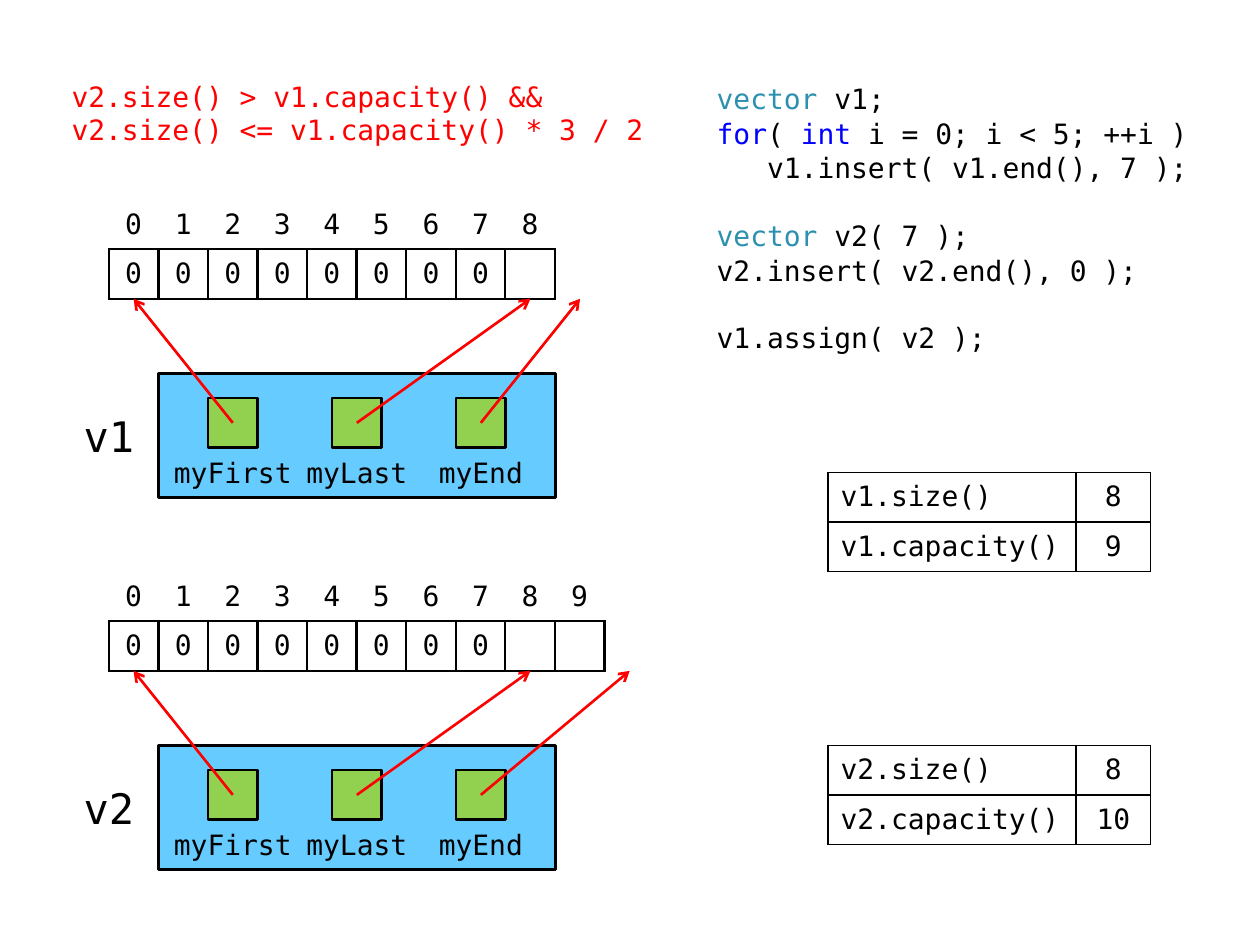
from lxml import etree
from pptx import Presentation
from pptx.dml.color import RGBColor
from pptx.enum.shapes import MSO_CONNECTOR as Connector, MSO_SHAPE as Shape
from pptx.enum.text import MSO_ANCHOR as Anchor, MSO_AUTO_SIZE as AutoSize, PP_ALIGN as Align
from pptx.oxml.ns import qn
from pptx.util import Inches, Pt

FONT = "DejaVu Sans Mono"
BLACK = RGBColor(0x00, 0x00, 0x00)
RED = RGBColor(0xFF, 0x00, 0x00)
KEYWORD_BLUE = RGBColor(0x00, 0x00, 0xFF)
TYPE_TEAL = RGBColor(0x2B, 0x91, 0xAF)
OBJECT_BLUE = RGBColor(0x66, 0xCC, 0xFF)
POINTER_GREEN = RGBColor(0x92, 0xD0, 0x50)

# Each entry: blank line above it, then its coloured runs
CODE = [
    (False, [("vector ", TYPE_TEAL), ("v1;", BLACK)]),
    (False, [("for", KEYWORD_BLUE), ("( ", BLACK), ("int", KEYWORD_BLUE),
             (" i = 0; i < 5; ++i )", BLACK)]),
    (False, [("   v1.insert( v1.end(), 7 );", BLACK)]),
    (True, [("vector ", TYPE_TEAL), ("v2( 7 );", BLACK)]),
    (False, [("v2.insert( v2.end(), 0 );", BLACK)]),
    (True, [("v1.assign( v2 );", BLACK)]),
]
CONDITION = ["v2.size() > v1.capacity() &&", "v2.size() <= v1.capacity() * 3 / 2"]


# The layout follows a one-centimetre grid from the top left margin
def grid(count):
    return Inches(count / 2.54)


def grid_x(column):
    return Inches(0.47) + grid(column)


def grid_y(row):
    return Inches(0.6) + grid(row)


def grid_box(column, row, width, height):
    return grid_x(column), grid_y(row), grid(width), grid(height)


def add_run(paragraph, text, color=BLACK, size=16):
    run = paragraph.add_run()
    run.text = text
    run.font.name = FONT
    run.font.size = Pt(size)
    run.font.color.rgb = color


def add_code(slide):
    body = slide.placeholders[1]
    body.left, body.top, body.width, body.height = grid_box(13, 0, 10, 6)
    frame = body.text_frame
    frame.auto_size = AutoSize.NONE
    frame.vertical_anchor = Anchor.TOP
    for index, (gap, runs) in enumerate(CODE):
        paragraph = frame.add_paragraph() if index else frame.paragraphs[0]
        properties = paragraph._p.get_or_add_pPr()
        properties.set("marL", "0")
        properties.set("indent", "0")
        etree.SubElement(properties, qn("a:buNone"))
        paragraph.space_before = Pt(19 if gap else 0)
        paragraph.space_after = Pt(0.5)
        for text, color in runs:
            add_run(paragraph, text, color)


def add_text(slide, box, lines, color=BLACK, size=16, align=Align.CENTER):
    frame = slide.shapes.add_textbox(*box).text_frame
    frame.word_wrap = True
    frame.vertical_anchor = Anchor.MIDDLE
    for index, line in enumerate(lines):
        paragraph = frame.add_paragraph() if index else frame.paragraphs[0]
        paragraph.alignment = align
        add_run(paragraph, line, color, size)


def add_block(slide, kind, box, fill):
    shape = slide.shapes.add_shape(kind, *box)
    shape.shadow.inherit = False
    shape.fill.solid()
    shape.fill.fore_color.rgb = fill
    shape.line.color.rgb = BLACK
    shape.line.width = Pt(1.5)


def add_name(slide, box, text):
    shape = slide.shapes.add_shape(Shape.FLOWCHART_PROCESS, *box)
    shape.shadow.inherit = False
    shape.fill.background()
    shape.line.fill.background()
    frame = shape.text_frame
    frame.word_wrap = False
    frame.vertical_anchor = Anchor.MIDDLE
    frame.paragraphs[0].alignment = Align.CENTER
    add_run(frame.paragraphs[0], text)


def add_arrow(slide, start, end):
    arrow = slide.shapes.add_connector(
        Connector.STRAIGHT, grid_x(start[0]), grid_y(start[1]), grid_x(end[0]), grid_y(end[1]))
    arrow.line.color.rgb = RED
    arrow.line.width = Pt(1.5)
    etree.SubElement(arrow.line._get_or_add_ln(), qn("a:tailEnd"), type="arrow")
    etree.SubElement(arrow._element.spPr, qn("a:effectLst"))


def set_borders(cell, widths):
    """Draw the left, right, top and bottom borders; a width of 0 hides one."""
    properties = cell._tc.get_or_add_tcPr()
    for side, width in zip("LRTB", widths):
        line = etree.SubElement(properties, qn(f"a:ln{side}"), w=str(Pt(width)))
        if width:
            fill = etree.SubElement(line, qn("a:solidFill"))
            etree.SubElement(fill, qn("a:srgbClr"), val=str(BLACK))
        else:
            etree.SubElement(line, qn("a:noFill"))


def add_grid_table(slide, column, row, widths, values, borders, margin, first_align):
    """Add a table of one-unit rows, with one set of borders per row."""
    box = grid_box(column, row, sum(widths), len(values))
    table = slide.shapes.add_table(len(values), len(widths), *box).table
    table.first_row = table.horz_banding = False
    for table_column, width in zip(table.columns, widths):
        table_column.width = grid(width)
    for row_index, texts in enumerate(values):
        table.rows[row_index].height = grid(1)
        for column_index, text in enumerate(texts):
            cell = table.cell(row_index, column_index)
            set_borders(cell, borders[row_index])
            cell.fill.background()
            cell.vertical_anchor = Anchor.MIDDLE
            cell.margin_left = cell.margin_right = Inches(margin)
            cell.margin_top = cell.margin_bottom = Inches(0.04)
            paragraph = cell.text_frame.paragraphs[0]
            paragraph.alignment = Align.CENTER if column_index else first_align
            if text:
                add_run(paragraph, text)
            else:
                paragraph.font.size = Pt(16)


def add_array(slide, row, size, capacity):
    indices = [str(index) for index in range(capacity)]
    items = ["0"] * size + [""] * (capacity - size)
    add_grid_table(slide, 1, row, [1] * capacity, [indices, items],
                   [(0, 0, 0, 1.5), (1.5,) * 4], 0.06, Align.CENTER)


def add_vector(slide, name, row, size, capacity):
    """Add the element array and the object whose pointers lead into it."""
    add_array(slide, row, size, capacity)
    top = row + 3.5
    add_text(slide, grid_box(0, top + 0.5, 2, 1.5), [name], size=24)
    add_block(slide, Shape.FLOWCHART_PROCESS, grid_box(2, top, 8, 2.5), OBJECT_BLUE)
    pointers = [("myFirst", 0), ("myLast", size), ("myEnd", capacity)]
    for index, (pointer, target) in enumerate(pointers):
        center = 3.5 + 2.5 * index
        add_name(slide, grid_box(center - 1.5, top + 1.5, 3, 1), pointer)
        add_block(slide, Shape.RECTANGLE, grid_box(center - 0.5, top + 0.5, 1, 1), POINTER_GREEN)
        add_arrow(slide, (center, top + 1), (target + 1.5, row + 2))


def add_summary(slide, name, row, size, capacity):
    values = [[f"{name}.size()", str(size)], [f"{name}.capacity()", str(capacity)]]
    add_grid_table(slide, 15.5, row, [5, 1.5], values, [(1,) * 4] * 2, 0.1, Align.LEFT)


def main():
    presentation = Presentation()
    presentation.slide_width, presentation.slide_height = Inches(10), Inches(7.5)
    slide = presentation.slides.add_slide(presentation.slide_layouts[1])
    title = slide.shapes.title._element
    title.getparent().remove(title)

    # Code and the condition it meets
    add_code(slide)
    add_text(slide, grid_box(0, 0, 12.5, 1.5), CONDITION, RED, align=Align.LEFT)

    # Vectors with their size and capacity
    for name, row, summary_row, size, capacity in [("v1", 2.5, 8, 8, 9), ("v2", 10, 13.5, 8, 10)]:
        add_vector(slide, name, row, size, capacity)
        add_summary(slide, name, summary_row, size, capacity)

    presentation.save("out.pptx")


if __name__ == "__main__":
    main()
